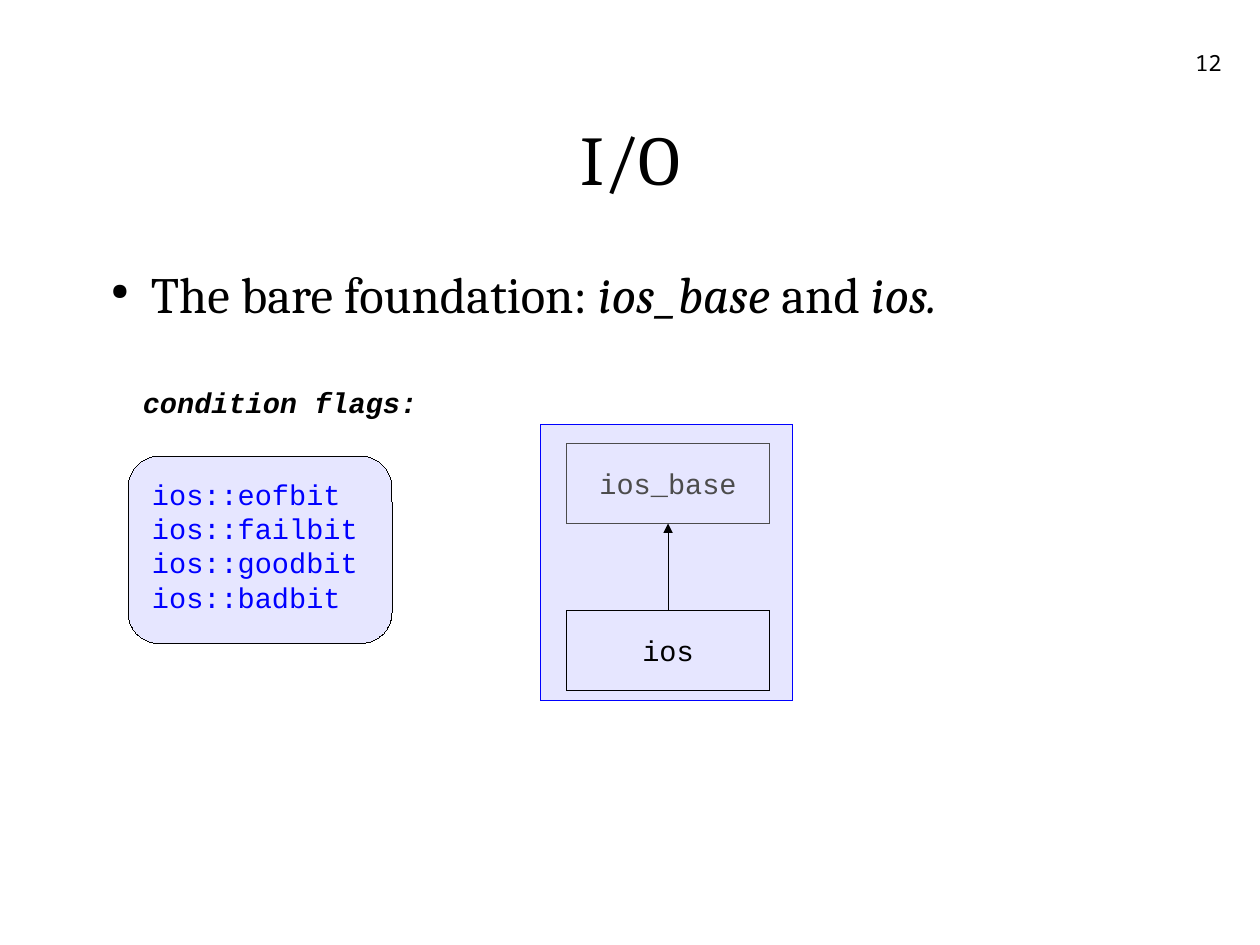
"""Builds the I/O slide on the ios_base and ios foundation classes."""
from lxml.etree import SubElement
from pptx import Presentation
from pptx.dml.color import RGBColor
from pptx.enum.shapes import MSO_CONNECTOR, MSO_SHAPE
from pptx.enum.text import MSO_ANCHOR, PP_ALIGN
from pptx.oxml.ns import qn
from pptx.util import Cm, Inches, Pt

BLACK = RGBColor(0, 0, 0)
GRAY = RGBColor(0x4C, 0x4C, 0x4C)
BLUE = RGBColor(0, 0, 0xFF)
LAVENDER = RGBColor(0xE6, 0xE6, 0xFF)
SERIF, CODE, MONO = "Cambria", "Courier New", "Noto Sans Mono"
HAIRLINE = Pt(0.01)

TITLE = "I/O"
PAGE = "12"
STATEMENT = [("The bare foundation: ", False), ("ios_base ", True),
             ("and ", False), ("ios.", True)]
FLAGS_HEADING = "condition flags:"
FLAGS = ["ios::eofbit", "ios::failbit", "ios::goodbit", "ios::badbit"]
CLASSES = [("ios_base", GRAY), ("ios", BLACK)]
CLASS_LEFT, CLASS_TOP, CLASS_WIDTH, CLASS_HEIGHT = 4.96, 3.88, 1.77, 0.7
CLASS_STEP = 1.46


def add_bullet(paragraph):
    properties = paragraph._p.get_or_add_pPr()
    properties.set("marL", str(Inches(0.47)))
    properties.set("indent", str(Inches(-0.35)))
    SubElement(properties, qn("a:buSzPct"), val="45000")
    SubElement(properties, qn("a:buChar"), char="●")
    paragraph.space_after = Pt(14.2)


def write(holder, lines, font, size, color, align=PP_ALIGN.LEFT,
          anchor=MSO_ANCHOR.TOP, wrap=True, bullet=False):
    frame = holder.text_frame
    frame.margin_left = frame.margin_right = 0
    frame.margin_top = frame.margin_bottom = 0
    frame.vertical_anchor = anchor
    frame.word_wrap = wrap
    for row, line in enumerate(lines):
        paragraph = frame.add_paragraph() if row else frame.paragraphs[0]
        for words, italic in line:
            run = paragraph.add_run()
            run.text = words
            if italic:
                run.font.italic = True
        if bullet:
            add_bullet(paragraph)
        paragraph.alignment = align
        paragraph.font.name = font
        paragraph.font.size = Pt(size)
        paragraph.font.color.rgb = color
    return frame.paragraphs[0]


def plain(*lines):
    return [[(line, False)] for line in lines]


def add_text(slide, place, *content, **layout):
    box = slide.shapes.add_textbox(*map(Inches, place))
    return write(box, *content, **layout)


def add_box(slide, preset, place, outline, fill=None):
    box = slide.shapes.add_shape(preset, *map(Inches, place))
    box.shadow.inherit = False
    if fill is None:
        box.fill.background()
    else:
        box.fill.solid()
        box.fill.fore_color.rgb = fill
    box.line.color.rgb = outline
    box.line.width = HAIRLINE
    return box


def add_inheritance(slide, derived, base):
    arrow = slide.shapes.add_connector(MSO_CONNECTOR.STRAIGHT, 0, 0, 0, 0)
    arrow.begin_connect(derived, 0)
    arrow.end_connect(base, 2)
    arrow.line.color.rgb = BLACK
    arrow.line.width = HAIRLINE
    SubElement(arrow.line._get_or_add_ln(), qn("a:tailEnd"), type="triangle")
    SubElement(arrow._element.spPr, qn("a:effectLst"))


def main():
    deck = Presentation()
    deck.slide_width, deck.slide_height = Cm(28), Cm(21)
    slide = deck.slides.add_slide(deck.slide_layouts[6])

    add_box(slide, MSO_SHAPE.RECTANGLE, (4.73, 3.71, 2.2, 2.42), BLUE, LAVENDER)
    add_box(slide, MSO_SHAPE.ROUNDED_RECTANGLE, (1.12, 3.99, 2.31, 1.64),
            BLACK, LAVENDER)
    add_text(slide, (0.81, 0.69, 9.41, 1.38), plain(TITLE), SERIF, 44, BLACK,
             align=PP_ALIGN.CENTER, anchor=MSO_ANCHOR.MIDDLE)
    add_text(slide, (0.85, 2.3, 9.41, 0.61), [STATEMENT], SERIF, 32, BLACK,
             bullet=True)

    class_boxes = []
    for row, (name, color) in enumerate(CLASSES):
        place = (CLASS_LEFT, CLASS_TOP + row * CLASS_STEP, CLASS_WIDTH, CLASS_HEIGHT)
        box = add_box(slide, MSO_SHAPE.RECTANGLE, place, color)
        write(box, plain(name), CODE, 18, color,
              align=PP_ALIGN.CENTER, anchor=MSO_ANCHOR.MIDDLE)
        class_boxes.append(box)
    base, derived = class_boxes
    add_inheritance(slide, derived, base)

    heading = add_text(slide, (1.25, 3.37, 2.4, 0.34), plain(FLAGS_HEADING),
                       CODE, 18, BLACK, wrap=False)
    heading.font.bold = heading.font.italic = True
    add_text(slide, (1.33, 4.17, 1.8, 1.21), plain(*FLAGS), CODE, 18, BLUE,
             wrap=False)
    add_text(slide, (8.12, 0.43, 2.57, 0.57), plain(PAGE), MONO, 14, BLACK,
             align=PP_ALIGN.RIGHT)
    deck.save("out.pptx")


if __name__ == "__main__":
    main()
